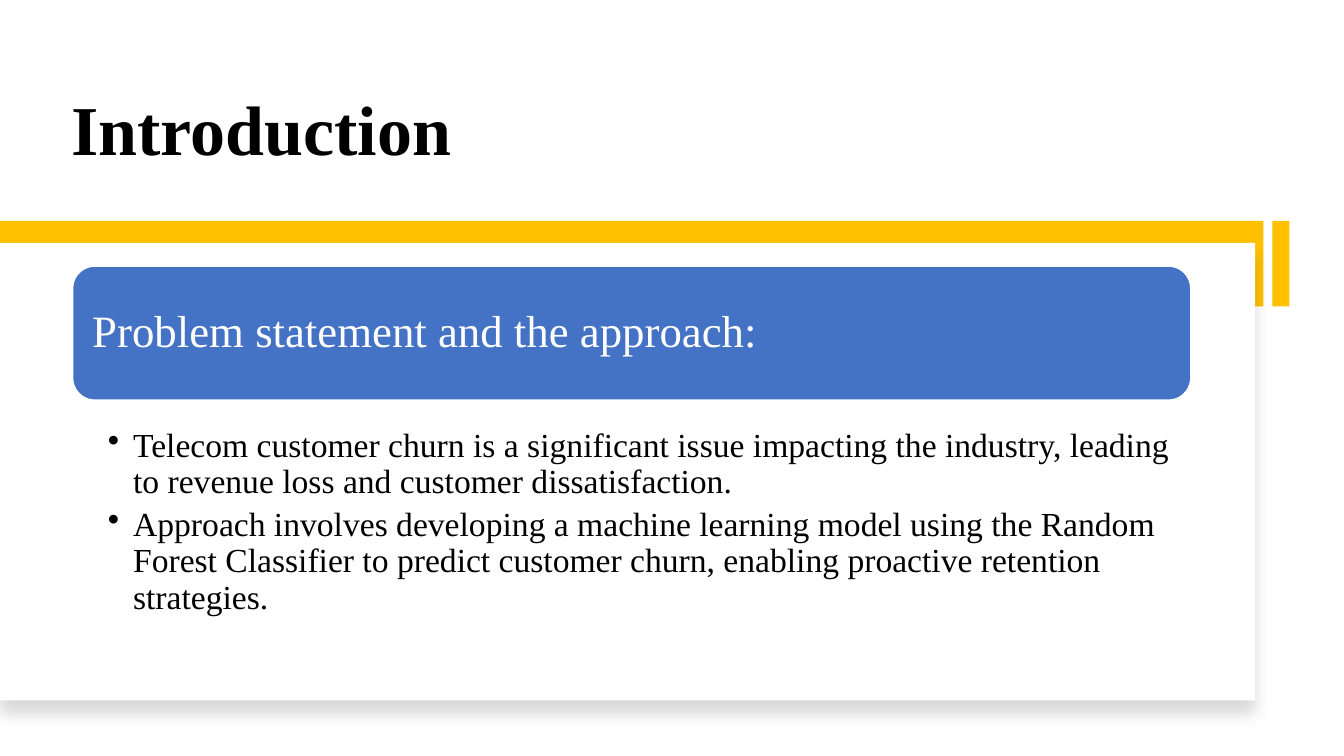
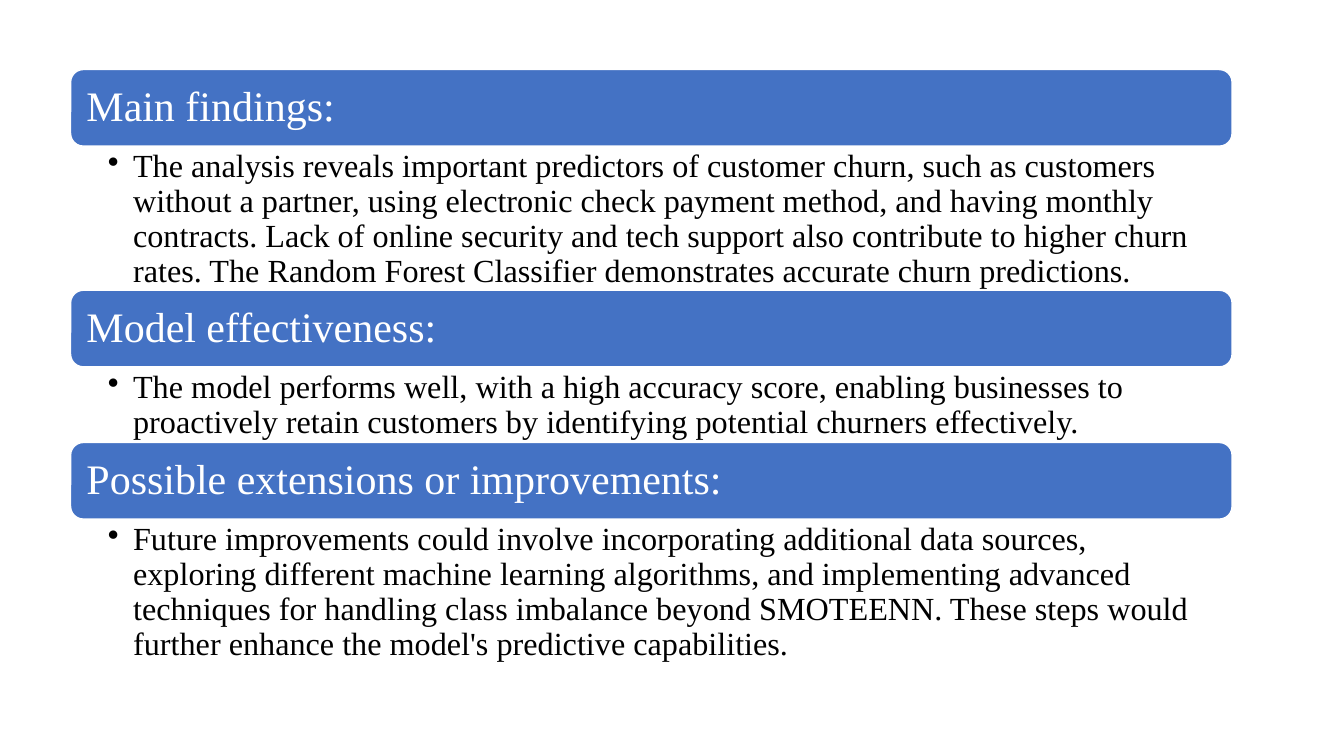
"""Build the churn introduction and findings slides."""
import lxml.etree
import pptx
import pptx.dml.color
import pptx.enum.shapes
import pptx.enum.text
import pptx.oxml.ns
import pptx.util

COLORS = {"accent": "FFC000", "banner": "4472C4", "paper": "FFFFFF", "ink": "000000"}
FONT = "Times New Roman"
WIDTH, HEIGHT = 13.33, 7.5
BULLET_INDENT = 0.25

INTRODUCTION = {
    "title": "Introduction",
    "sections": [
        ("Problem statement and the approach:", 2.13, [
            "Telecom customer churn is a significant issue impacting the industry, "
            "leading to revenue loss and customer dissatisfaction.",
            "Approach involves developing a machine learning model using the Random "
            "Forest Classifier to predict customer churn, enabling proactive retention "
            "strategies.",
        ]),
    ],
    "layout": {"left": 0.72, "top": 2.64, "width": 11.09, "banner": 1.33, "gap": 0.25,
               "heading_size": 32, "body_size": 24, "heading_inset": 0.13,
               "body_insets": (0.35, 0.03, 0.19, 0.03)},
}
FINDINGS = {
    "sections": [
        ("Main findings:", 1.43, [
            "The analysis reveals important predictors of customer churn, such as "
            "customers without a partner, using electronic check payment method, and "
            "having monthly contracts. Lack of online security and tech support also "
            "contribute to higher churn rates. The Random Forest Classifier demonstrates "
            "accurate churn predictions.",
        ]),
        ("Model effectiveness:", 0.75, [
            "The model performs well, with a high accuracy score, enabling businesses to "
            "proactively retain customers by identifying potential churners effectively.",
        ]),
        ("Possible extensions or improvements:", 1.43, [
            "Future improvements could involve incorporating additional data sources, "
            "exploring different machine learning algorithms, and implementing advanced "
            "techniques for handling class imbalance beyond SMOTEENN. These steps would "
            "further enhance the model's predictive capabilities.",
        ]),
    ],
    "layout": {"left": 0.7, "top": 0.69, "width": 11.52, "banner": 0.76, "gap": 0,
               "heading_size": 30, "body_size": 23, "heading_inset": 0.12,
               "body_insets": (0.37, 0.04, 0.23, 0.04)},
}


def color(name):
    return pptx.dml.color.RGBColor.from_string(COLORS[name])


def inches(values):
    return [pptx.util.Inches(value) for value in values]


def add_block(slide, box, fill, outline=None, kind="RECTANGLE"):
    shape_type = getattr(pptx.enum.shapes.MSO_SHAPE, kind)
    shape = slide.shapes.add_shape(shape_type, *inches(box))
    shape.fill.solid()
    shape.fill.fore_color.rgb = color(fill)
    if outline:
        shape.line.color.rgb = color(outline)
        shape.line.width = pptx.util.Pt(1)
    else:
        shape.line.fill.background()
    shape.shadow.inherit = False
    return shape


def add_soft_shadow(shape):
    qn = pptx.oxml.ns.qn
    effects = shape.element.spPr.find(qn("a:effectLst"))
    shadow = lxml.etree.SubElement(
        effects, qn("a:outerShdw"), blurRad=str(pptx.util.Pt(11)),
        dist=str(pptx.util.Pt(10)), dir="5400000", algn="t", rotWithShape="0")
    tint = lxml.etree.SubElement(shadow, qn("a:srgbClr"), val=COLORS["ink"])
    lxml.etree.SubElement(tint, qn("a:alpha"), val="15000")


def write(shape, texts, size, ink, anchor, insets, after, bold=False, bullets=False):
    frame = shape.text_frame
    frame.word_wrap = True
    frame.vertical_anchor = getattr(pptx.enum.text.MSO_ANCHOR, anchor)
    (frame.margin_left, frame.margin_top,
     frame.margin_right, frame.margin_bottom) = inches(insets)
    for index, text in enumerate(texts):
        paragraph = frame.add_paragraph() if index else frame.paragraphs[0]
        paragraph.text = text
        paragraph.alignment = pptx.enum.text.PP_ALIGN.LEFT
        paragraph.line_spacing = 0.9
        paragraph.space_after = pptx.util.Pt(after)
        paragraph.font.name = FONT
        paragraph.font.size = pptx.util.Pt(size)
        paragraph.font.bold = bold
        paragraph.font.color.rgb = color(ink)
        if bullets:
            properties = paragraph._p.get_or_add_pPr()
            indent = pptx.util.Inches(BULLET_INDENT)
            properties.set("marL", str(indent))
            properties.set("indent", str(-indent))
            bullet = lxml.etree.Element(pptx.oxml.ns.qn("a:buChar"), char="•")
            properties.find(pptx.oxml.ns.qn("a:defRPr")).addprevious(bullet)


def add_title_panel(slide, title):
    title_box = slide.shapes.add_textbox(*inches((0.61, 0.44, 10.1, 1.3)))
    write(title_box, [title], 50, "ink", "BOTTOM", (0.1, 0.05, 0.1, 0.05), 6, bold=True)
    band_top, band_height = 2.19, 0.85
    for left, width in ((12.62, 0.17), (0, 12.53)):
        add_block(slide, (left, band_top, width, band_height), "accent")
    add_soft_shadow(add_block(slide, (0, 2.41, 12.45, 4.54), "paper"))


def add_sections(slide, sections, layout):
    left, top, width = layout["left"], layout["top"], layout["width"]
    for heading, body_height, points in sections:
        banner = add_block(slide, (left, top, width, layout["banner"]),
                           "banner", "paper", "ROUNDED_RECTANGLE")
        write(banner, [heading], layout["heading_size"], "paper", "MIDDLE",
              [layout["heading_inset"]] * 4, 0)
        top += layout["banner"] + layout["gap"]
        body = slide.shapes.add_textbox(*inches((left, top, width, body_height)))
        write(body, points, layout["body_size"], "ink", "TOP", layout["body_insets"],
              0.2 * layout["body_size"], bullets=True)
        top += body_height


def main():
    presentation = pptx.Presentation()
    presentation.slide_width, presentation.slide_height = inches((WIDTH, HEIGHT))
    for content in (INTRODUCTION, FINDINGS):
        slide = presentation.slides.add_slide(presentation.slide_layouts[6])
        slide.background.fill.solid()
        slide.background.fill.fore_color.rgb = color("paper")
        if "title" in content:
            add_title_panel(slide, content["title"])
        add_sections(slide, content["sections"], content["layout"])
    presentation.save("out.pptx")


if __name__ == "__main__":
    main()
